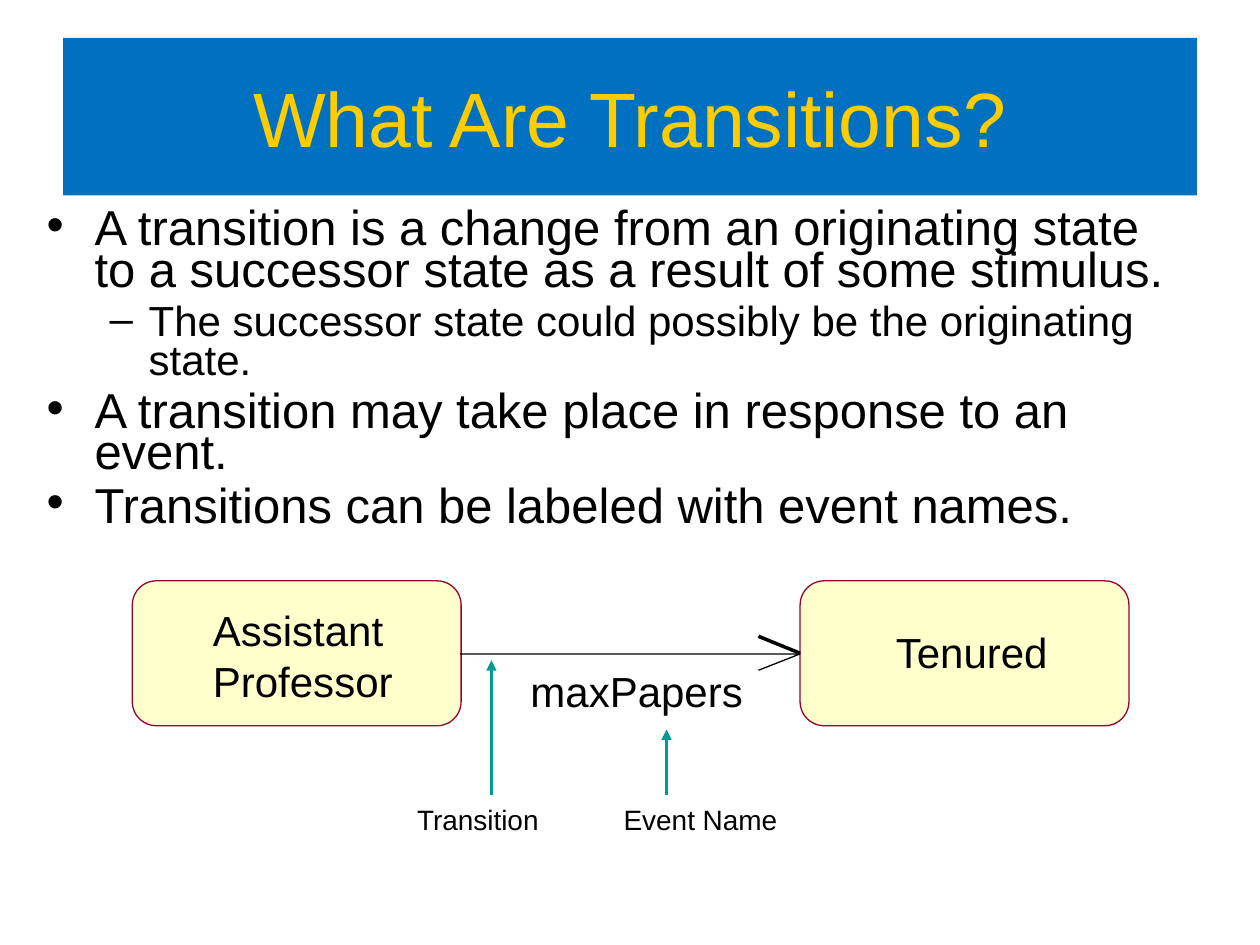
"""Build a slide that explains state transitions with a small state diagram."""
import pptx
import pptx.dml.color
import pptx.enum.shapes
import pptx.enum.text
import pptx.oxml
import pptx.oxml.ns
import pptx.util
from pptx.util import Inches

RGBColor = pptx.dml.color.RGBColor
BLUE = RGBColor(0x00, 0x70, 0xC0)
GOLD = RGBColor(0xFF, 0xCC, 0x00)
BLACK = RGBColor(0x00, 0x00, 0x00)
TEAL = RGBColor(0x00, 0x99, 0x99)
CREAM = RGBColor(0xFF, 0xFF, 0xCC)
MAROON = RGBColor(0x99, 0x00, 0x33)


def format_text(para, size, color=BLACK):
    span = para.runs[0]
    span.font.color.rgb = color
    for name, value in {"name": "Arial", "size": pptx.util.Pt(size)}.items():
        setattr(span.font, name, value)


def add_line(page, start, end, color, width):
    line = page.shapes.add_connector(
        pptx.enum.shapes.MSO_CONNECTOR.STRAIGHT,
        *[Inches(value) for value in start + end])
    line.line.color.rgb = color
    line.line.width = pptx.util.Pt(width)
    pptx.oxml.ns.qn("a:effectLst")
    line._element.spPr.append(pptx.oxml.parse_xml(
        f'<a:effectLst {pptx.oxml.ns.nsdecls("a")}/>'))
    return line


deck = pptx.Presentation()
deck.slide_width, deck.slide_height = Inches(10), Inches(7.5)
page = deck.slides.add_slide(deck.slide_layouts[1])
title, body = page.placeholders

for holder, place in ((title, (0.5, 0.3, 9, 1.25)), (body, (0.27, 1.64, 9.1, 3.35))):
    for name, value in zip(("left", "top", "width", "height"), place):
        setattr(holder, name, Inches(value))
    holder.text_frame.auto_size = pptx.enum.text.MSO_AUTO_SIZE.NONE

title.fill.solid()
title.fill.fore_color.rgb = BLUE
title.text_frame.text = "What Are Transitions?"
title.text_frame.vertical_anchor = pptx.enum.text.MSO_ANCHOR.MIDDLE
title.text_frame.paragraphs[0].alignment = pptx.enum.text.PP_ALIGN.CENTER
format_text(title.text_frame.paragraphs[0], 44, GOLD)

LEVELS = [
    {"size": 28, "spacing": 0.7, "before": 7, "margin": 0.38, "indent": -0.38},
    {"size": 24, "spacing": 0.77, "before": 6, "margin": 0.81, "indent": -0.31},
]
points = [
    (0, "A transition is a change from an originating state to a successor state "
        "as a result of some stimulus."),
    (1, "The successor state could possibly be the originating state."),
    (0, "A transition may take place in response to an event."),
    (0, "Transitions can be labeled with event names."),
]
body.text_frame.text = "\n".join(text for _, text in points)
for para, (level, _) in zip(body.text_frame.paragraphs, points):
    style = LEVELS[level]
    formats = {"level": level, "line_spacing": style["spacing"],
               "space_before": pptx.util.Pt(style["before"])}
    for name, value in formats.items():
        setattr(para, name, value)
    properties = para._p.get_or_add_pPr()
    properties.set("marL", str(Inches(style["margin"])))
    properties.set("indent", str(Inches(style["indent"])))
    format_text(para, style["size"])

states = []
for left in (1.05, 6.35):
    state = page.shapes.add_shape(
        pptx.enum.shapes.MSO_SHAPE.ROUNDED_RECTANGLE,
        Inches(left), Inches(4.61), Inches(2.61), Inches(1.15))
    state.shadow.inherit = False
    state.fill.solid()
    state.fill.fore_color.rgb = CREAM
    state.line.color.rgb = MAROON
    state.line.width = pptx.util.Pt(0)
    states.append(state)

builder = page.shapes.build_freeform(Inches(3.65), Inches(5.19))
builder.add_line_segments(
    [(Inches(6.35), Inches(5.19)), (Inches(6.02), Inches(5.32))], close=False)
transition = builder.convert_to_shape()
transition.shadow.inherit = False
transition.fill.background()
transition.line.color.rgb = BLACK
transition.line.width = pptx.util.Pt(0)
barb = add_line(page, (6.35, 5.19), (6.02, 5.05), BLACK, 0)
barb.begin_connect(states[1], 1)

for x, tip in ((3.9, 5.24), (5.29, 5.79)):
    pointer = add_line(page, (x, 6.31), (x, tip), TEAL, 1.75)
    pointer.line._get_or_add_ln().append(pptx.oxml.parse_xml(
        f'<a:tailEnd {pptx.oxml.ns.nsdecls("a")} type="triangle"/>'))

labels = [
    ("Transition", (3.19, 6.31, 1.21, 0.39), 16, 0.12, 0.06),
    ("Event Name", (4.83, 6.31, 1.46, 0.39), 16, 0.12, 0.06),
    ("Tenured", (7.11, 4.97, 1.24, 0.4), 24, 0, 0),
    ("Assistant\nProfessor", (1.69, 4.8, 1.43, 0.8), 24, 0, 0),
    ("maxPapers", (4.21, 5.28, 1.69, 0.4), 24, 0, 0),
]
for text, place, size, side, edge in labels:
    frame = page.shapes.add_textbox(*[Inches(value) for value in place]).text_frame
    formats = {"text": text, "word_wrap": False,
               "auto_size": pptx.enum.text.MSO_AUTO_SIZE.SHAPE_TO_FIT_TEXT,
               "margin_left": Inches(side), "margin_right": Inches(side),
               "margin_top": Inches(edge), "margin_bottom": Inches(edge)}
    for name, value in formats.items():
        setattr(frame, name, value)
    for para in frame.paragraphs:
        format_text(para, size)

deck.save("out.pptx")
